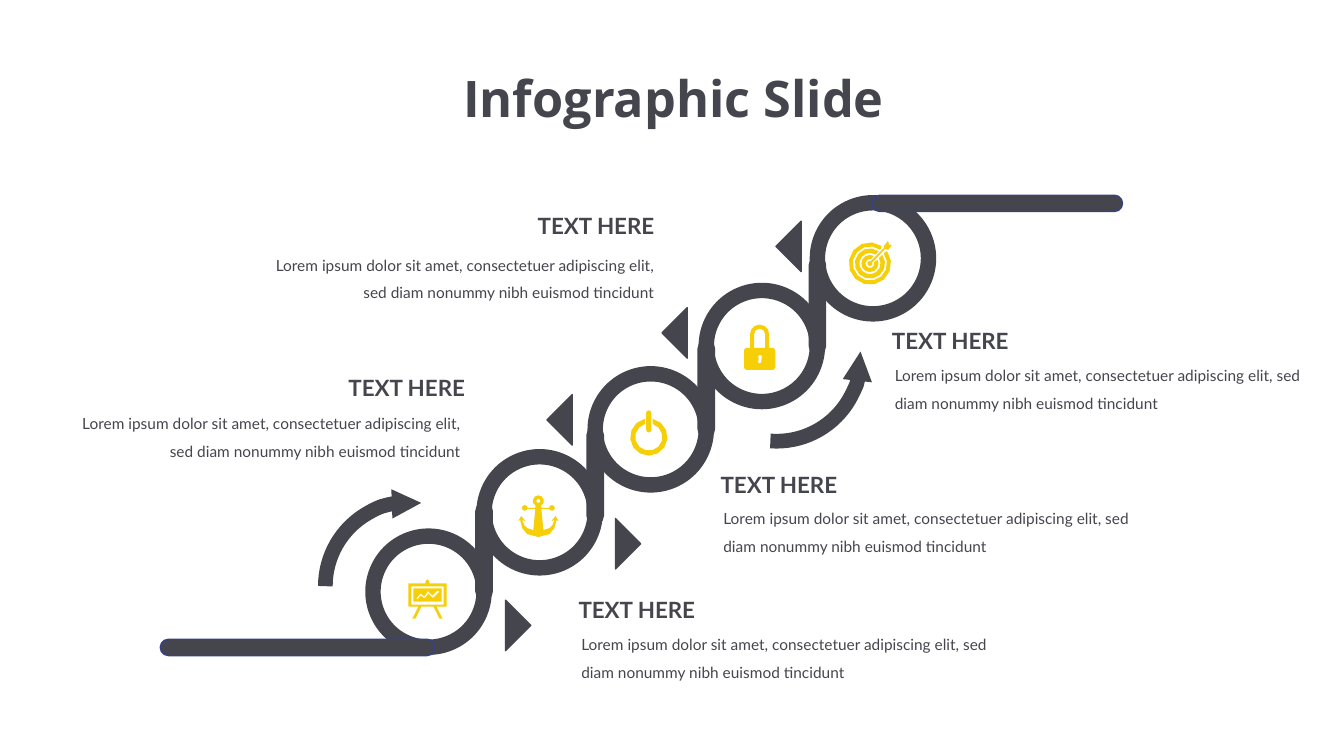
from math import ceil, cos, radians, sin

from lxml import etree
from pptx import Presentation
from pptx.dml.color import RGBColor
from pptx.enum.shapes import MSO_SHAPE as Shape
from pptx.enum.text import MSO_AUTO_SIZE as AutoSize, PP_ALIGN as Align
from pptx.oxml.ns import qn
from pptx.util import Cm, Pt

SLATE = RGBColor(0x45, 0x45, 0x4D)
NAVY = RGBColor(0x37, 0x41, 0x89)
YELLOW = RGBColor(0xF6, 0xCF, 0x08)
ICON_UNIT = Cm(2.54) / 100
RING_SIZE, RISER_LENGTH, BAR_THICKNESS, MARKER_SIZE = 2.8, 2.44, 0.41, 0.9
BODY = ("Lorem ipsum dolor sit amet, consectetuer adipiscing elit, "
        "sed diam nonummy nibh euismod tincidunt")


def arc(cx, cy, radius, start, end):
    """Points along an arc; angles run clockwise from the right, in degrees."""
    steps = ceil(abs(end - start) / (30 if radius > 6 else 45))
    angles = [radians(start + (end - start) * i / steps) for i in range(steps + 1)]
    return [(cx + radius * cos(a), cy + radius * sin(a)) for a in angles]


def rectangle(left, top, right, bottom):
    return [(left, top), (right, top), (right, bottom), (left, bottom)]


# Icon outlines, each a list of closed contours
BOARD = [
    [(17, 4), (17, 2), (19, 0), (21, 2), (21, 4), (38, 4), (38, 27), (28, 27),
     (34, 39), (31, 39), (25, 27), (13, 27), (7, 39), (4, 39), (10, 27), (0, 27), (0, 4)],
    rectangle(3, 7, 35, 25),
    rectangle(5, 9, 33, 22),
    [(8, 19), (12, 14), (16, 17), (19, 12), (20, 12), (24, 16), (29, 11), (31, 12),
     (25, 18), (24, 18), (20, 14), (17, 18), (15, 18), (12, 16), (9, 20)],
]
anchor_half = (
    arc(20, 6, 5.5, 270, 420) + [(23, 13), (31, 13)] + arc(33.5, 13, 2.8, 190, 530)
    + [(31, 14), (23, 14), (25, 35), (31, 33), (34, 30), (36, 25), (33, 26), (37, 21),
       (40, 26), (38, 25), (36, 33), (31, 39), (23, 41), (20, 42)])
ANCHOR = [anchor_half + [(40 - x, y) for x, y in reversed(anchor_half)],
          arc(20, 6, 2, 0, 360)]
POWER = [
    arc(18.5, 26.5, 18.5, -78, 258) + arc(18.5, 26.5, 13.5, 253, -73),
    arc(18.5, 2.5, 2.5, 180, 360) + arc(18.5, 19.5, 2.5, 0, 180),
]
LOCK = [
    [(0, 25), (2, 23), (6, 23)] + arc(15.5, 9.5, 9.5, 180, 360)
    + [(25, 23), (29, 23), (31, 25), (31, 43), (29, 45), (2, 45), (0, 43)],
    [(10, 23)] + arc(15.5, 9.5, 5.5, 180, 360) + [(21, 23)],
    arc(16, 32, 2, 135, 405) + [(17, 38), (14, 38)],
]
TARGET = [
    arc(21, 22.5, 21, -36, 304) + arc(21, 22.5, 17, 307, -37),
    arc(21, 22.5, 15, -35, 306) + arc(21, 22.5, 10.5, 302, -31),
    arc(21, 22.5, 8.5, -27, 298) + arc(21, 22.5, 4.5, 283, -18),
    [(39, 0), (40, 4), (43, 4), (39, 9), (36, 8), (24, 21)]
    + arc(21, 22.5, 2.5, -30, 285) + [(22, 20), (35, 7), (35, 5)],
]

# Ring top, riser middle, icon outline, icon left and top
STEPS = [
    (13.51, 13.89, BOARD, 10.29, 14.6),
    (11.51, 11.98, ANCHOR, 13.06, 12.47),
    (9.42, 9.8, POWER, 15.88, 10.34),
    (7.32, 7.7, LOCK, 18.75, 8.18),
    (5.11, None, TARGET, 21.39, 6.07),
]
RAILS = [(21.97, 4.92, 6.32), (4.04, 16.11, 6.93)]
# Left, top, rotation
MARKERS = [(19.74, 5.76, 45), (16.87, 7.94, 45), (13.97, 10.13, 45),
           (15.06, 13.25, 225), (12.29, 15.31, 225)]
# Left, top, rotation, end that carries the arrowhead
SWEEPS = [(17.45, 6.88, 86.2, "headEnd"), (8.2, 12.65, 270, "tailEnd")]
# Heading left, top, width; body left, top, width; alignment
CAPTIONS = [
    ((14.33, 14.89, 8.66), (14.4, 15.65, 10.92), Align.LEFT),
    ((17.91, 11.74, 8.66), (17.98, 12.47, 10.92), Align.LEFT),
    ((22.23, 8.13, 8.66), (22.3, 8.87, 10.92), Align.LEFT),
    ((4.98, 9.3, 6.99), (1.5, 10.08, 10.36), Align.RIGHT),
    ((9.75, 5.23, 6.99), (6.38, 6.09, 10.36), Align.RIGHT),
]


def add_figure(slide, kind, left, top, width, height, fill=SLATE, line=SLATE, weight=1):
    figure = slide.shapes.add_shape(kind, Cm(left), Cm(top), Cm(width), Cm(height))
    figure.shadow.inherit = False
    if fill is None:
        figure.fill.background()
    else:
        figure.fill.solid()
        figure.fill.fore_color.rgb = fill
    figure.line.color.rgb = line
    figure.line.width = Pt(weight)
    return figure


def add_bar(slide, left, top, length, line=SLATE):
    bar = add_figure(slide, Shape.ROUNDED_RECTANGLE, left, top, length, BAR_THICKNESS,
                     line=line)
    bar.adjustments[0] = 0.5
    return bar


def add_icon(slide, contours, left, top):
    scaled = [[(x * ICON_UNIT, y * ICON_UNIT) for x, y in points] for points in contours]
    builder = slide.shapes.build_freeform(*scaled[0][0])
    builder.add_line_segments(scaled[0][1:], close=True)
    for points in scaled[1:]:
        builder.move_to(*points[0])
        builder.add_line_segments(points[1:], close=True)
    icon = builder.convert_to_shape(Cm(left), Cm(top))
    icon.shadow.inherit = False
    icon.fill.solid()
    icon.fill.fore_color.rgb = YELLOW
    icon.line.fill.background()


def add_staircase(slide, left):
    # Rings and the risers between them
    for i, (ring_top, riser_middle, _, _, _) in enumerate(STEPS):
        ring_left = left + i * RING_SIZE
        add_figure(slide, Shape.OVAL, ring_left, ring_top, RING_SIZE, RING_SIZE,
                   fill=None, weight=11)
        if riser_middle is not None:
            riser = add_bar(slide, ring_left + RING_SIZE - RISER_LENGTH / 2,
                            riser_middle - BAR_THICKNESS / 2, RISER_LENGTH)
            riser.rotation = 270
    # Rails at both ends
    for rail in RAILS:
        add_bar(slide, *rail, line=NAVY)


def add_pointers(slide):
    # Curved arrows
    for left, top, rotation, arrow_end in SWEEPS:
        sweep = add_figure(slide, Shape.ARC, left, top, 4.24, 4.24, fill=None, weight=10.5)
        sweep.adjustments[0], sweep.adjustments[1] = 162, 4.81
        sweep.rotation = rotation
        outline = sweep.line._get_or_add_ln()
        etree.SubElement(outline, qn(f"a:{arrow_end}"), type="triangle", w="sm", len="sm")
    # Triangles pointing to the captions
    for left, top, rotation in MARKERS:
        marker = add_figure(slide, Shape.RIGHT_TRIANGLE, left, top, MARKER_SIZE, MARKER_SIZE)
        marker.rotation = rotation


def add_text(slide, text, box, size, align, font="Lato", bold=False, spacing=None):
    text_box = slide.shapes.add_textbox(*(Cm(length) for length in box))
    frame = text_box.text_frame
    frame.word_wrap = True
    frame.auto_size = AutoSize.SHAPE_TO_FIT_TEXT
    paragraph = frame.paragraphs[0]
    paragraph.text = text
    paragraph.alignment = align
    paragraph.line_spacing = spacing
    paragraph.font.name = font
    paragraph.font.size = Pt(size)
    paragraph.font.bold = bold
    paragraph.font.color.rgb = SLATE


def add_caption(slide, heading_box, body_box, align):
    add_text(slide, BODY, (*body_box, 1.68), 11, align, spacing=1.5)
    add_text(slide, "TEXT HERE", (*heading_box, 0.94), 16, align, bold=True)


def main():
    deck = Presentation()
    deck.slide_width, deck.slide_height = Cm(33.87), Cm(19.05)
    slide = deck.slides.add_slide(deck.slide_layouts[6])
    add_staircase(slide, 9.4)
    add_pointers(slide)
    # Icons inside the rings
    for _, _, contours, left, top in STEPS:
        add_icon(slide, contours, left, top)
    for caption in CAPTIONS:
        add_caption(slide, *caption)
    add_text(slide, "Infographic Slide", (5.66, 1.56, 22.63, 1.8), 36, Align.CENTER,
             font="Open Sans", bold=True)
    deck.save("out.pptx")


if __name__ == "__main__":
    main()
